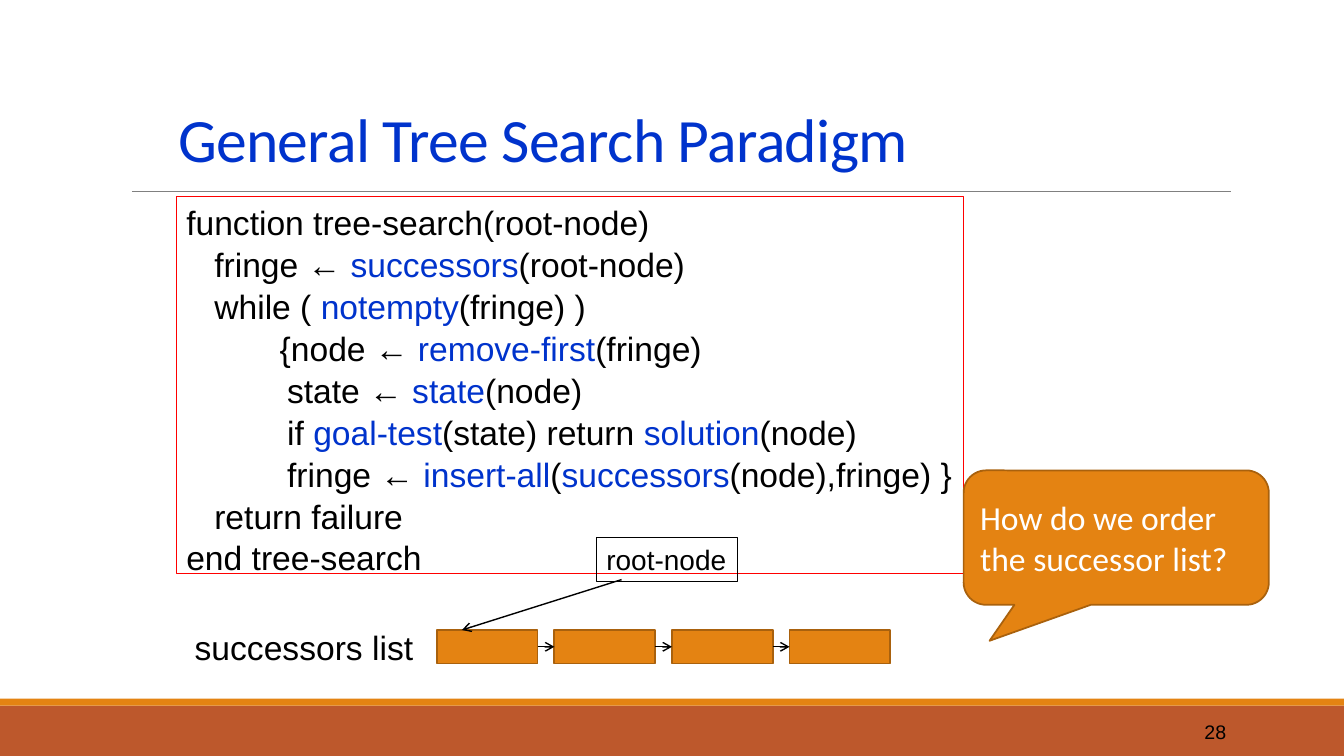
from dataclasses import dataclass
from itertools import pairwise
from lxml.etree import SubElement
from pptx import Presentation
from pptx.dml.color import RGBColor
from pptx.enum.shapes import MSO_CONNECTOR, MSO_SHAPE
from pptx.enum.text import MSO_ANCHOR, MSO_AUTO_SIZE, PP_ALIGN
from pptx.oxml.ns import qn
from pptx.util import Pt


@dataclass(frozen=True)
class Theme:
    blue: str = "0033CC"
    black: str = "000000"
    white: str = "FFFFFF"
    red: str = "FF0000"
    gray: str = "808080"
    orange: str = "E48312"
    brown: str = "A9610D"
    rust: str = "BD582C"
    head: str = "Calibri"
    body: str = "Arial"
    title: int = 44
    large: int = 24
    label: int = 20
    small: int = 14


class Deck:
    def __init__(self, theme):
        self.theme = theme
        self.file = Presentation()
        self.file.slide_width, self.file.slide_height = Pt(960), Pt(540)
        self.slide = self.file.slides.add_slide(self.file.slide_layouts[5])
        self.shapes = self.slide.shapes

    def run(self, para, text, size, color, font):
        run = para.add_run()
        run.text = text
        run.font.size = Pt(size)
        run.font.name = font
        run.font.color.rgb = RGBColor.from_string(color)
        return run

    def title(self, text, box):
        shape = self.shapes.title
        shape.left, shape.top, shape.width, shape.height = map(Pt, box)
        frame = shape.text_frame
        frame.auto_size = MSO_AUTO_SIZE.NONE
        frame.vertical_anchor = MSO_ANCHOR.BOTTOM
        para = frame.paragraphs[0]
        para.alignment = PP_ALIGN.LEFT
        para.line_spacing = 0.85
        run = self.run(para, text, self.theme.title, self.theme.blue, self.theme.head)
        run.font._element.set("spc", "-50")

    def shape(self, box, fill=None, line=None, width=0.75, kind=MSO_SHAPE.RECTANGLE):
        shape = self.shapes.add_shape(kind, *map(Pt, box))
        shape.shadow.inherit = False
        if fill:
            shape.fill.solid()
            shape.fill.fore_color.rgb = RGBColor.from_string(fill)
        else:
            shape.fill.background()
        if line:
            shape.line.color.rgb = RGBColor.from_string(line)
            shape.line.width = Pt(width)
        else:
            shape.line.fill.background()
        return shape

    def label(self, shape, text, size, color, font, anchor=MSO_ANCHOR.TOP,
              align=PP_ALIGN.LEFT, wrap=True):
        frame = shape.text_frame
        frame.word_wrap = wrap
        frame.vertical_anchor = anchor
        para = frame.paragraphs[0]
        para.alignment = align
        self.run(para, text, size, color, font)

    def text(self, box, text, size, **style):
        shape = self.shapes.add_textbox(*map(Pt, box))
        self.label(shape, text, size, self.theme.black, self.theme.body, **style)

    def code(self, box, lines):
        theme = self.theme
        frame = self.shape(box, line=theme.red).text_frame
        frame.word_wrap = True
        frame.margin_right = 0
        frame.vertical_anchor = MSO_ANCHOR.TOP
        for row, (indent, *parts) in enumerate(lines):
            para = frame.add_paragraph() if row else frame.paragraphs[0]
            para.alignment = PP_ALIGN.LEFT
            para.space_before = Pt(1.2 if row else 0)
            para._p.get_or_add_pPr().set("marL", str(Pt(indent)))
            for spot, part in enumerate(parts):
                color = theme.blue if spot % 2 else theme.black
                self.run(para, part, theme.large, color, theme.body)

    def line(self, ends, color, width, arrow=False):
        wire = self.shapes.add_connector(MSO_CONNECTOR.STRAIGHT, *map(Pt, ends))
        wire.line.color.rgb = RGBColor.from_string(color)
        wire.line.width = Pt(width)
        if arrow:
            SubElement(wire.line._get_or_add_ln(), qn("a:tailEnd"), type="arrow")
        SubElement(wire._element.spPr, qn("a:effectLst"))
        return wire

    def join(self, left, right):
        wire = self.line((0, 0, 0, 0), self.theme.black, 1, arrow=True)
        wire.begin_connect(left, 3)
        wire.end_connect(right, 1)


def main():
    theme = Theme()
    deck = Deck(theme)
    deck.shape((0, 504, 960, 36), theme.rust)
    deck.shape((0, 499, 960, 5), theme.orange)
    deck.line((94.3, 136.8, 879, 136.8), theme.gray, 0.5)
    deck.title("General Tree Search Paradigm", (120, 60, 648, 68.4))
    deck.text((780, 508.5, 103, 28.8), "28", theme.small,
              anchor=MSO_ANCHOR.MIDDLE, align=PP_ALIGN.RIGHT)

    deck.code((126, 140.4, 562.3, 269), [
        (0, "function tree-search(root-node)"),
        (20, "fringe ← ", "successors", "(root-node)"),
        (20, "while ( ", "notempty", "(fringe) )"),
        (66.7, "{node ← ", "remove-first", "(fringe)"),
        (72, "state ← ", "state", "(node)"),
        (72, "if ", "goal-test", "(state) return ", "solution", "(node)"),
        (72, "fringe ← ", "insert-all", "(", "successors", "(node),fringe) }"),
        (20, "return failure"),
        (0, "end tree-search"),
    ])

    root = deck.shape((426, 384, 101, 31.5), line=theme.black)
    deck.label(root, "root-node", theme.label, theme.black, theme.body, wrap=False)
    cells = [deck.shape((312 + 84 * spot, 450, 72, 24), theme.orange, theme.brown, 1.25)
             for spot in range(4)]
    deck.line((444, 414, 330, 450), theme.black, 1, arrow=True)
    for left, right in pairwise(cells):
        deck.join(left, right)
    deck.text((132, 444, 172, 36.7), "successors list", theme.large, wrap=False)

    note = deck.shape((688.3, 336, 218, 96), theme.orange, theme.brown, 1.25,
                      MSO_SHAPE.ROUNDED_RECTANGULAR_CALLOUT)
    for spot, value in enumerate((-0.415, 0.768, 0.167)):
        note.adjustments[spot] = value
    deck.label(note, "How do we order the successor list?", theme.large,
               theme.white, theme.head, MSO_ANCHOR.MIDDLE)
    deck.file.save("out.pptx")


if __name__ == "__main__":
    main()
